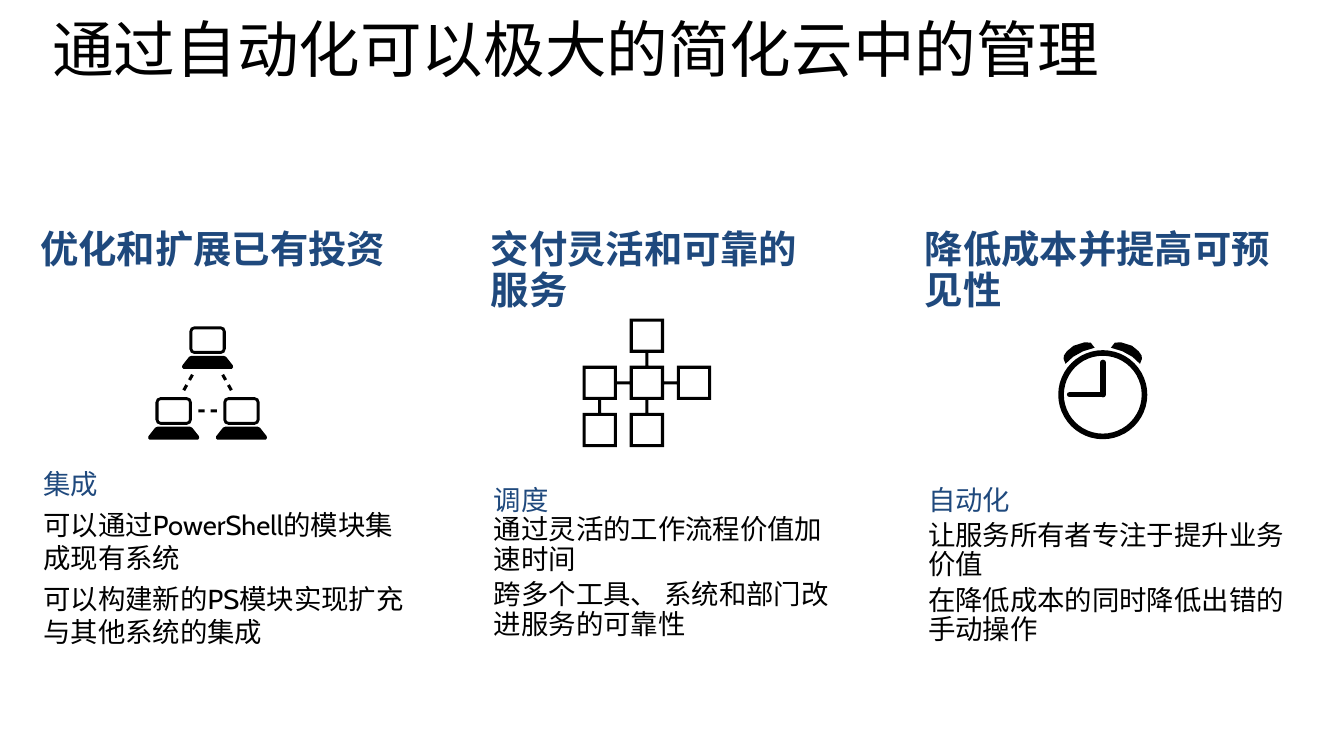
from dataclasses import dataclass
from math import cos, pi, sin

from lxml import etree
from pptx import Presentation
from pptx.dml.color import RGBColor
from pptx.enum.lang import MSO_LANGUAGE_ID
from pptx.enum.shapes import MSO_CONNECTOR, MSO_SHAPE
from pptx.enum.text import MSO_ANCHOR, MSO_AUTO_SIZE, PP_ALIGN
from pptx.oxml.ns import qn
from pptx.util import Pt

CHINESE = MSO_LANGUAGE_ID.SIMPLIFIED_CHINESE
STRAIGHT = MSO_CONNECTOR.STRAIGHT
OVAL = MSO_SHAPE.OVAL
TOP = MSO_ANCHOR.TOP
NO_AUTOFIT = MSO_AUTO_SIZE.NONE
LEFT = PP_ALIGN.LEFT

Point = tuple[float, float]
Contour = list[Point]


@dataclass(frozen=True)
class Theme:
    ink: RGBColor = RGBColor(0x00, 0x00, 0x00)
    accent: RGBColor = RGBColor(0x1F, 0x49, 0x7D)
    heading_font: str = "Calibri"
    text_font: str = "Cabin"
    title_size: float = 44
    heading_size: float = 27.4
    text_size: float = 19.6
    thin: float = 2.2
    thick: float = 4


@dataclass(frozen=True)
class Benefit:
    heading: str
    label: str
    details: tuple[str, str]
    left: float
    width: float
    height: float
    margins: Point
    line_spacing: float
    icon_gap: float
    detail_gap: float
    label_joined: bool = False


THEME = Theme()
TITLE = "通过自动化可以极大的简化云中的管理"
COLUMN_TOP = 157
BENEFITS = (
    Benefit("优化和扩展已有投资", "集成",
            ("可以通过PowerShell的模块集成现有系统", "可以构建新的PS模块实现扩充与其他系统的集成"),
            21.6, 282.2, 358.6, (7.2, 3.6), 1.0, 140, 6),
    Benefit("交付灵活和可靠的服务", "调度",
            ("通过灵活的工作流程价值加速时间", "跨多个工具、 系统和部门改进服务的可靠性"),
            339.1, 268.6, 316.1, (11.5, 7.2), 0.9, 124, 4, label_joined=True),
    Benefit("降低成本并提高可预见性", "自动化",
            ("让服务所有者专注于提升业务价值", "在降低成本的同时降低出错的手动操作"),
            649.2, 296.6, 325.4, (11.5, 7.2), 0.9, 124, 4),
)


def write(frame, text: str, *, size: float, font: str, color: RGBColor, bold: bool = False,
          line_spacing: float = 1.0, before: float = 0, level: int = 0, indent: float = 0,
          joined: bool = False) -> None:
    paragraph = frame.paragraphs[-1]
    if joined:
        paragraph.add_line_break()
    else:
        if paragraph.runs:
            paragraph = frame.add_paragraph()
        paragraph.level = level
        paragraph.alignment = LEFT
        paragraph.line_spacing = line_spacing
        paragraph.space_before = Pt(before)
        paragraph.space_after = Pt(0)
        properties = paragraph._p.get_or_add_pPr()
        properties.set("marL", str(Pt(indent)))
        properties.set("indent", "0")
        etree.SubElement(properties, qn("a:buNone"))
    run = paragraph.add_run()
    run.text = text
    run.font.size = Pt(size)
    run.font.name = font
    run.font.bold = bold
    run.font.color.rgb = color
    run.font.language_id = CHINESE


def place(holder, left: float, top: float, width: float, height: float, margins: Point):
    holder.left, holder.top, holder.width, holder.height = map(Pt, (left, top, width, height))
    frame = holder.text_frame
    frame.word_wrap = True
    frame.auto_size = NO_AUTOFIT
    frame.vertical_anchor = TOP
    frame.margin_left = frame.margin_right = Pt(margins[0])
    frame.margin_top = frame.margin_bottom = Pt(margins[1])
    return frame


def draw_benefit(holder, benefit: Benefit) -> None:
    frame = place(holder, benefit.left, COLUMN_TOP, benefit.width, benefit.height, benefit.margins)
    write(frame, benefit.heading, size=THEME.heading_size, font=THEME.heading_font,
          color=THEME.accent, bold=True, line_spacing=benefit.line_spacing)
    first, second = benefit.details
    for text, color, before, joined in (
            (benefit.label, THEME.accent, benefit.icon_gap, False),
            (first, THEME.ink, benefit.detail_gap, benefit.label_joined),
            (second, THEME.ink, benefit.detail_gap, False)):
        write(frame, text, size=THEME.text_size, font=THEME.text_font, color=color, joined=joined,
              line_spacing=benefit.line_spacing, before=before, level=1, indent=2.2)


def fill_contours(shapes, origin: Point, contours: list[Contour]) -> None:
    placed = [[(Pt(origin[0] + x), Pt(origin[1] + y)) for x, y in contour] for contour in contours]
    builder = shapes.build_freeform(*placed[0][0], scale=1.0)
    for index, (start, *rest) in enumerate(placed):
        if index:
            builder.move_to(*start)
        builder.add_line_segments(rest, close=True)
    icon = builder.convert_to_shape()
    icon.shadow.inherit = False
    icon.fill.solid()
    icon.fill.fore_color.rgb = THEME.ink
    icon.line.fill.background()


def between(start: Point, end: Point, share: float) -> Point:
    return (start[0] + (end[0] - start[0]) * share, start[1] + (end[1] - start[1]) * share)


def box(center: Point, width: float, height: float) -> Contour:
    x, y = center
    return [(x + dx * width / 2, y + dy * height / 2)
            for dx, dy in ((-1, -1), (1, -1), (1, 1), (-1, 1))]


def rounded_box(center: Point, width: float, height: float, radius: float) -> Contour:
    corners = box(center, width - 2 * radius, height - 2 * radius)
    angles = [[pi + quarter * pi / 2 + step * pi / 4 for step in range(3)] for quarter in range(4)]
    return [(x + radius * cos(angle), y + radius * sin(angle))
            for (x, y), turns in zip(corners, angles) for angle in turns]


def bar(start: Point, end: Point, weight: float) -> Contour:
    dx, dy = end[0] - start[0], end[1] - start[1]
    ratio = weight / 2 / (dx * dx + dy * dy) ** 0.5
    nx, ny = -dy * ratio, dx * ratio
    return [(start[0] + nx, start[1] + ny), (end[0] + nx, end[1] + ny),
            (end[0] - nx, end[1] - ny), (start[0] - nx, start[1] - ny)]


def laptop(x: float, y: float) -> list[Contour]:
    edge = [(11.5, 11.2), (13.2, 11.9), (18, 18), (18.2, 19.4), (17.3, 20.5)]
    base = edge + [(-dx, dy) for dx, dy in reversed(edge)]
    return [rounded_box((x, y), 26, 19.8, 3.6), rounded_box((x, y), 21.6, 15.4, 1.4),
            [(x + dx, y + dy) for dx, dy in base]]


def draw_network(shapes, x: float, y: float) -> None:
    contours = []
    for center in ((0, 0), (-24.2, 50.6), (24.2, 50.6)):
        contours += laptop(*center)
    links = (((-10.8, 24.7), (-17, 35.8)), ((10.8, 24.7), (17, 35.8)), ((-6.6, 50.5), (6.6, 50.5)))
    for start, end in links:
        for first, last in ((0, 0.34), (0.66, 1)):
            contours.append(bar(between(start, end, first), between(start, end, last), THEME.thin))
    fill_contours(shapes, (x, y), contours)


def draw_workflow(shapes, x: float, y: float) -> None:
    pitch, side = 33.7, 24.5
    steps = [(1, 0), (0, 1), (1, 1), (2, 1), (0, 2), (1, 2)]
    links = [((1, 0), (1, 1)), ((0, 1), (1, 1)), ((1, 1), (2, 1)), ((0, 1), (0, 2)), ((1, 1), (1, 2))]
    contours = []
    for column, row in steps:
        center = (column * pitch, row * pitch)
        inner = side - 2 * THEME.thin
        contours += [box(center, side, side), box(center, inner, inner)]
    edge = side / 2 / pitch
    for start, end in links:
        near, far = between(start, end, edge), between(start, end, 1 - edge)
        contours.append(bar((near[0] * pitch, near[1] * pitch),
                            (far[0] * pitch, far[1] * pitch), THEME.thin))
    fill_contours(shapes, (x, y), contours)


def draw_clock(shapes, x: float, y: float) -> None:
    radius = 29.8
    face = shapes.add_shape(OVAL, Pt(x - radius), Pt(y - radius), Pt(2 * radius), Pt(2 * radius))
    face.shadow.inherit = False
    face.fill.background()
    face.line.color.rgb = THEME.ink
    face.line.width = Pt(THEME.thick)
    for tip in ((x, y - 23), (x - 23.6, y)):
        hand = shapes.add_connector(STRAIGHT, *map(Pt, (x, y, *tip)))
        hand.line.color.rgb = THEME.ink
        hand.line.width = Pt(THEME.thick)
        hand.line._get_or_add_ln().set("cap", "rnd")
        etree.SubElement(hand._element.spPr, qn("a:effectLst"))
    bell = [(-28, -25.6), (-26.6, -22), (-21.2, -27), (-14, -31), (-5.8, -33.5), (-8.6, -37.1),
            (-13, -37.4), (-20.9, -34.9), (-25.6, -31), (-27.7, -28)]
    for side in (1, -1):
        fill_contours(shapes, (x, y), [[(side * dx, dy) for dx, dy in bell]])


def main() -> None:
    deck = Presentation()
    deck.slide_width, deck.slide_height = Pt(960), Pt(540)
    slide = deck.slides.add_slide(deck.slide_layouts.get_by_name("Comparison"))
    title, *columns, spare = slide.placeholders
    spare.element.getparent().remove(spare.element)
    heading = place(title, 30.2, 14.4, 907.2, 83.5, (7.2, 3.6))
    write(heading, TITLE, size=THEME.title_size, font=THEME.text_font, color=THEME.ink,
          line_spacing=0.8)
    for holder, benefit in zip(columns, BENEFITS):
        draw_benefit(holder, benefit)
    draw_network(slide.shapes, 148.3, 243)
    draw_workflow(slide.shapes, 428.4, 239.8)
    draw_clock(slide.shapes, 787.7, 281.9)
    deck.save("out.pptx")


if __name__ == "__main__":
    main()
